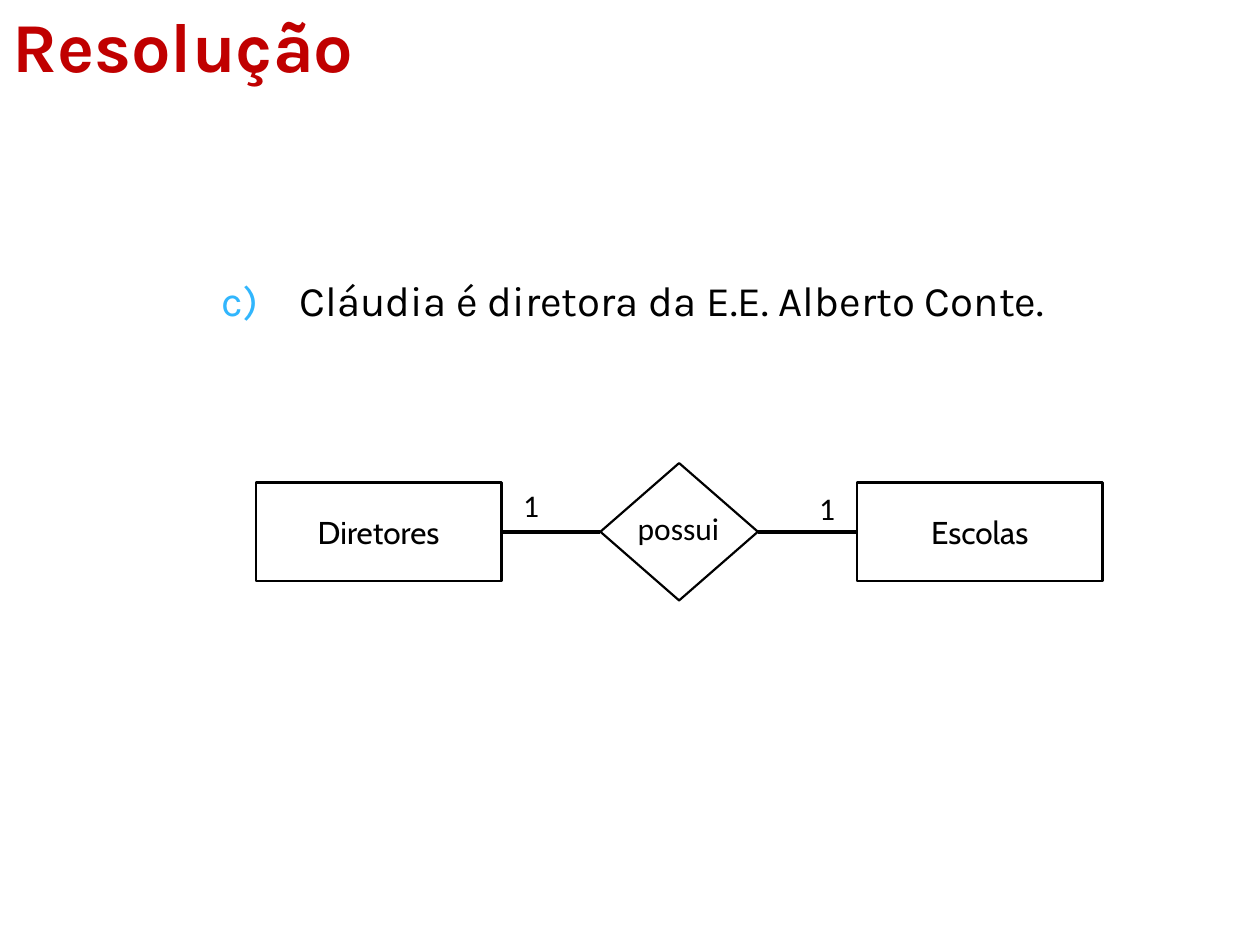
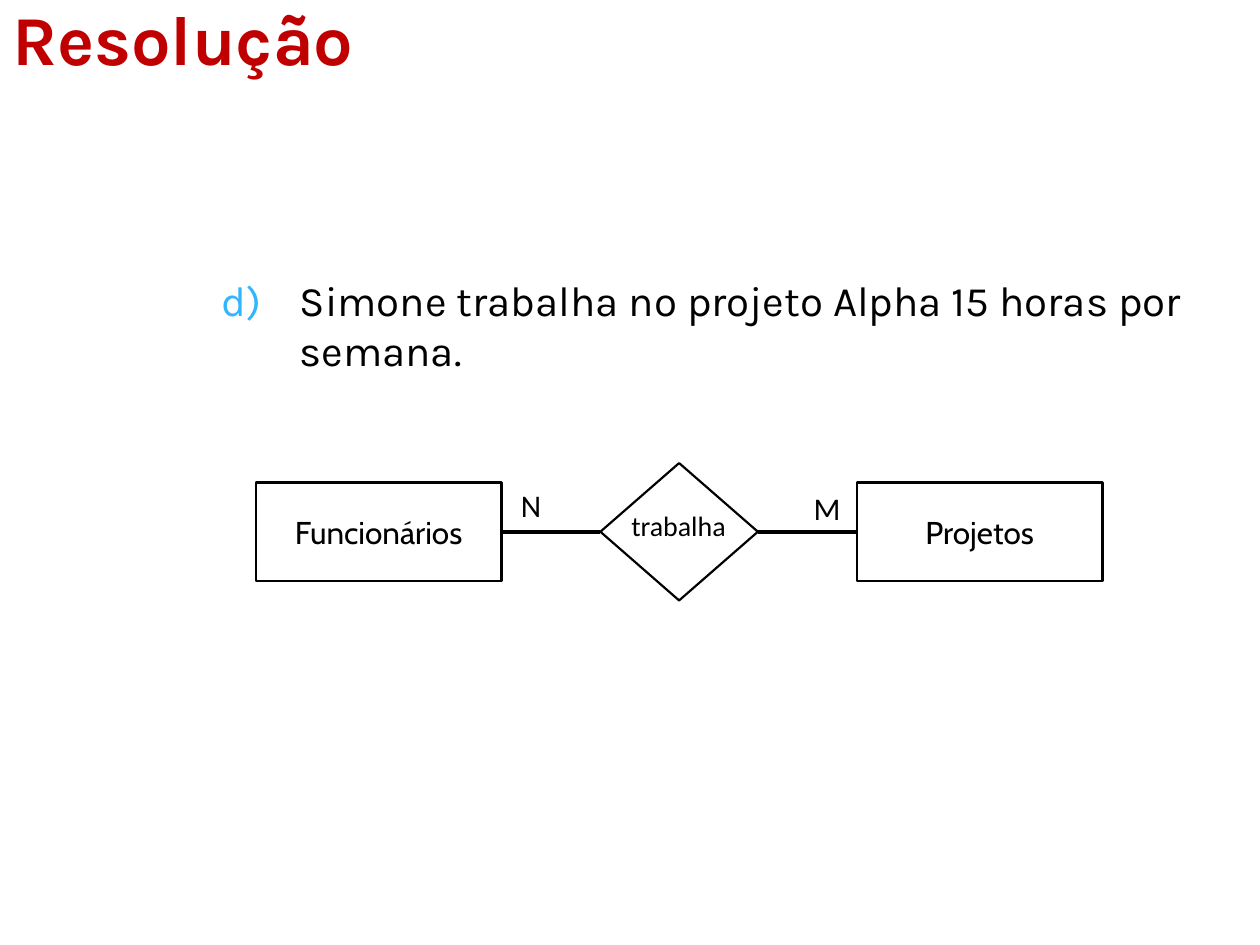
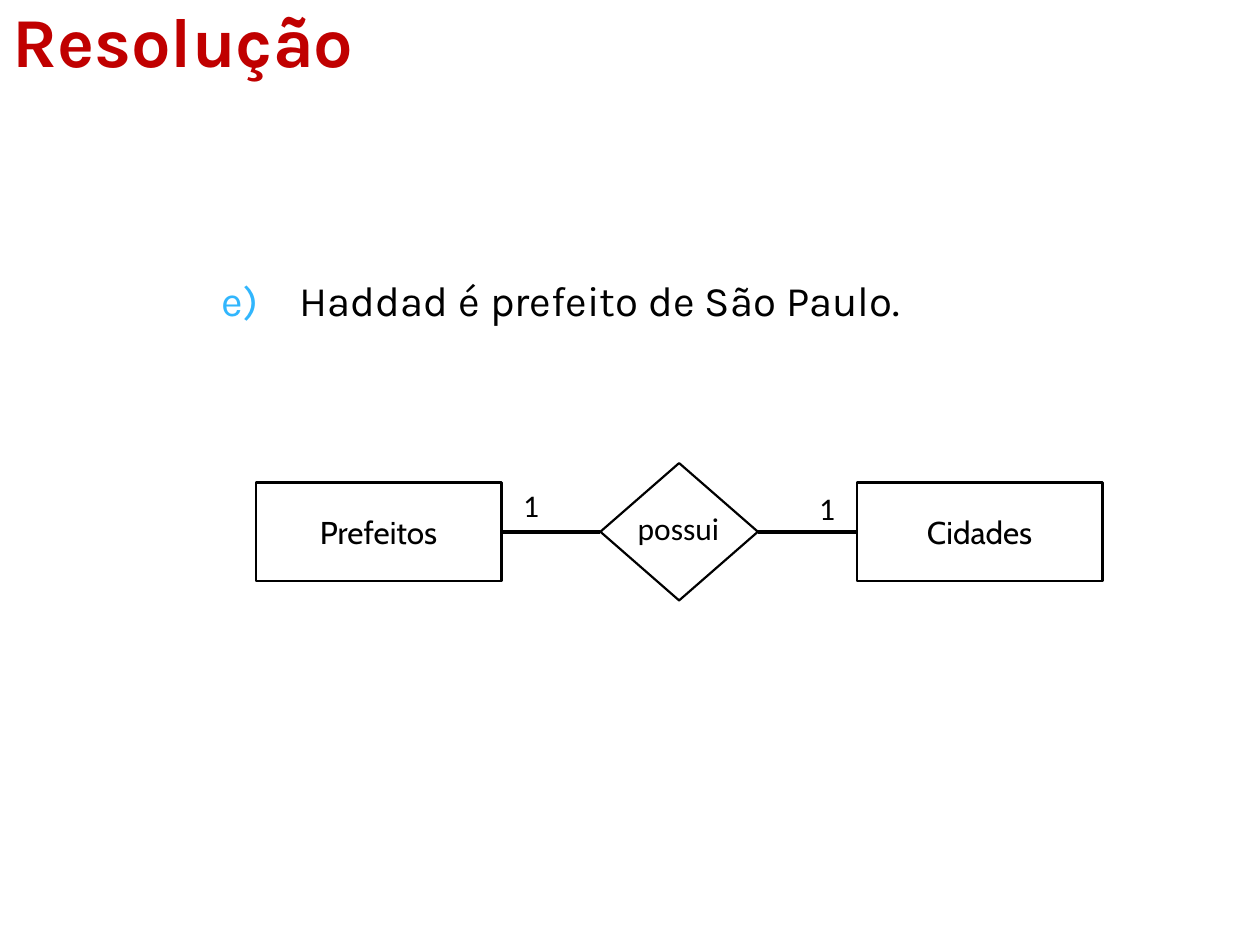
from dataclasses import dataclass

from lxml.etree import SubElement
from pptx import Presentation
from pptx.dml.color import RGBColor
from pptx.enum.shapes import MSO_CONNECTOR, MSO_SHAPE
from pptx.enum.text import MSO_ANCHOR, MSO_AUTO_SIZE, PP_ALIGN
from pptx.oxml.ns import qn
from pptx.shapes.autoshape import Shape
from pptx.shapes.group import GroupShape
from pptx.slide import Slide
from pptx.text.text import TextFrame
from pptx.util import Emu, Inches, Pt

BLACK = RGBColor(0x00, 0x00, 0x00)
WHITE = RGBColor(0xFF, 0xFF, 0xFF)
RED = RGBColor(0xC0, 0x00, 0x00)
SKY = RGBColor(0x31, 0xB6, 0xFD)

SLIDE_WIDTH, SLIDE_HEIGHT = Inches(10), Inches(7.5)
COLUMNS, ROWS = 100, 75
RIGHT_SIDE, LEFT_SIDE = 3, 1


@dataclass(frozen=True)
class Box:
    """A place on the slide, in columns and rows of the grid."""

    left: float
    top: float
    width: float
    height: float

    @property
    def right(self) -> float:
        return self.left + self.width

    @property
    def middle(self) -> float:
        return self.top + self.height / 2

    def emu(self) -> tuple[Emu, Emu, Emu, Emu]:
        column, row = SLIDE_WIDTH / COLUMNS, SLIDE_HEIGHT / ROWS
        return (Emu(round(self.left * column)), Emu(round(self.top * row)),
                Emu(round(self.width * column)), Emu(round(self.height * row)))


@dataclass(frozen=True)
class TextStyle:
    font: str
    size: int
    color: RGBColor = BLACK
    bold: bool = False


@dataclass(frozen=True)
class Resolution:
    """One answer: a lettered sentence and its entity-relationship diagram."""

    number: int
    sentence: str
    source: str
    source_count: str
    verb: str
    target_count: str
    target: str
    title_top: float
    title_height: float
    verb_size: int = 18


TITLE = TextStyle("Karla", 40, RED, bold=True)
SENTENCE = TextStyle("Karla", 24)
ENTITY = TextStyle("Cabin", 18)
COUNT = TextStyle("Calibri", 18)

SENTENCE_BOX = Box(15.7, 21.3, 82, 9.2)
LINK_LENGTH = 7.85
SOURCE_BOX = Box(20.3, 38.3, 19.5, 7.8)
DIAMOND_BOX = Box(SOURCE_BOX.right + LINK_LENGTH, SOURCE_BOX.middle - 5.45, 12.5, 10.9)
TARGET_BOX = Box(DIAMOND_BOX.right + LINK_LENGTH, SOURCE_BOX.top,
                 SOURCE_BOX.width, SOURCE_BOX.height)
VERB_BOX = Box(48.4, 39.9, 10.9, 4)
COUNT_WIDTH = 4.7
SOURCE_COUNT_BOX = Box(SOURCE_BOX.right, 38.1, COUNT_WIDTH, 4)
TARGET_COUNT_BOX = Box(TARGET_BOX.left - COUNT_WIDTH, 38.3, COUNT_WIDTH, 4)

RESOLUTIONS = (
    Resolution(3, "Cláudia é diretora da E.E. Alberto Conte.",
               "Diretores", "1", "possui", "1", "Escolas", 0.2, 6.6),
    Resolution(4, "Simone trabalha no projeto Alpha 15 horas por semana.",
               "Funcionários", "N", "trabalha", "M", "Projetos", 0, 6, verb_size=16),
    Resolution(5, "Haddad é prefeito de São Paulo.",
               "Prefeitos", "1", "possui", "1", "Cidades", 0.3, 5.7),
)


def write(frame: TextFrame, text: str, style: TextStyle,
          align: PP_ALIGN = PP_ALIGN.CENTER) -> None:
    frame.word_wrap = True
    paragraph = frame.paragraphs[0]
    paragraph.alignment = align
    run = paragraph.add_run()
    run.text = text
    run.font.name = style.font
    run.font.size = Pt(style.size)
    run.font.bold = style.bold
    run.font.color.rgb = style.color


def add_title(slide: Slide, box: Box) -> None:
    frame = slide.shapes.add_textbox(*box.emu()).text_frame
    frame.vertical_anchor = MSO_ANCHOR.MIDDLE
    write(frame, "Resolução", TITLE, PP_ALIGN.LEFT)


def add_sentence(slide: Slide, text: str, number: int) -> None:
    """Add the sentence with its automatic letter: 3 gives c), 4 gives d)."""
    frame = slide.shapes.add_textbox(*SENTENCE_BOX.emu()).text_frame
    write(frame, text, SENTENCE, PP_ALIGN.LEFT)
    paragraph = frame.paragraphs[0]
    paragraph.space_before = Pt(6)
    properties = paragraph.runs[0].font._element.getparent().getparent().get_or_add_pPr()
    properties.set("marL", str(Inches(0.71)))
    properties.set("indent", str(Inches(-0.62)))
    letter_color = SubElement(properties, qn("a:buClr"))
    SubElement(letter_color, qn("a:srgbClr"), val=str(SKY))
    SubElement(properties, qn("a:buAutoNum"), type="alphaLcParenR", startAt=str(number))


def add_outline(diagram: GroupShape, preset: MSO_SHAPE, box: Box) -> Shape:
    outline = diagram.shapes.add_shape(preset, *box.emu())
    outline.shadow.inherit = False
    outline.line.color.rgb = BLACK
    outline.line.width = Pt(1.25)
    return outline


def add_entity(diagram: GroupShape, box: Box, text: str) -> Shape:
    entity = add_outline(diagram, MSO_SHAPE.RECTANGLE, box)
    entity.fill.solid()
    entity.fill.fore_color.rgb = WHITE
    entity.text_frame.vertical_anchor = MSO_ANCHOR.MIDDLE
    write(entity.text_frame, text, ENTITY)
    return entity


def add_label(diagram: GroupShape, box: Box, text: str, style: TextStyle) -> None:
    frame = diagram.shapes.add_textbox(*box.emu()).text_frame
    frame.auto_size = MSO_AUTO_SIZE.SHAPE_TO_FIT_TEXT
    write(frame, text, style)


def add_link(diagram: GroupShape, start: Shape, end: Shape) -> None:
    """Join the right side of start to the left side of end."""
    link = diagram.shapes.add_connector(
        MSO_CONNECTOR.STRAIGHT,
        start.left + start.width, start.top + start.height // 2,
        end.left, end.top + end.height // 2)
    link.begin_connect(start, RIGHT_SIDE)
    link.end_connect(end, LEFT_SIDE)
    link.line.color.rgb = BLACK
    link.line.width = Pt(2.25)
    SubElement(link._element.spPr, qn("a:effectLst"))


def add_diagram(slide: Slide, resolution: Resolution) -> None:
    diagram = slide.shapes.add_group_shape()
    source = add_entity(diagram, SOURCE_BOX, resolution.source)
    target = add_entity(diagram, TARGET_BOX, resolution.target)
    relationship = add_outline(diagram, MSO_SHAPE.DIAMOND, DIAMOND_BOX)
    relationship.fill.background()
    add_label(diagram, VERB_BOX, resolution.verb, TextStyle("Calibri", resolution.verb_size))
    add_link(diagram, source, relationship)
    add_link(diagram, relationship, target)
    add_label(diagram, SOURCE_COUNT_BOX, resolution.source_count, COUNT)
    add_label(diagram, TARGET_COUNT_BOX, resolution.target_count, COUNT)


def main() -> None:
    presentation = Presentation()
    presentation.slide_width, presentation.slide_height = SLIDE_WIDTH, SLIDE_HEIGHT
    blank = presentation.slide_layouts[6]
    for resolution in RESOLUTIONS:
        slide = presentation.slides.add_slide(blank)
        add_sentence(slide, resolution.sentence, resolution.number)
        add_title(slide, Box(0, resolution.title_top, 90, resolution.title_height))
        add_diagram(slide, resolution)
    presentation.save("out.pptx")


if __name__ == "__main__":
    main()
